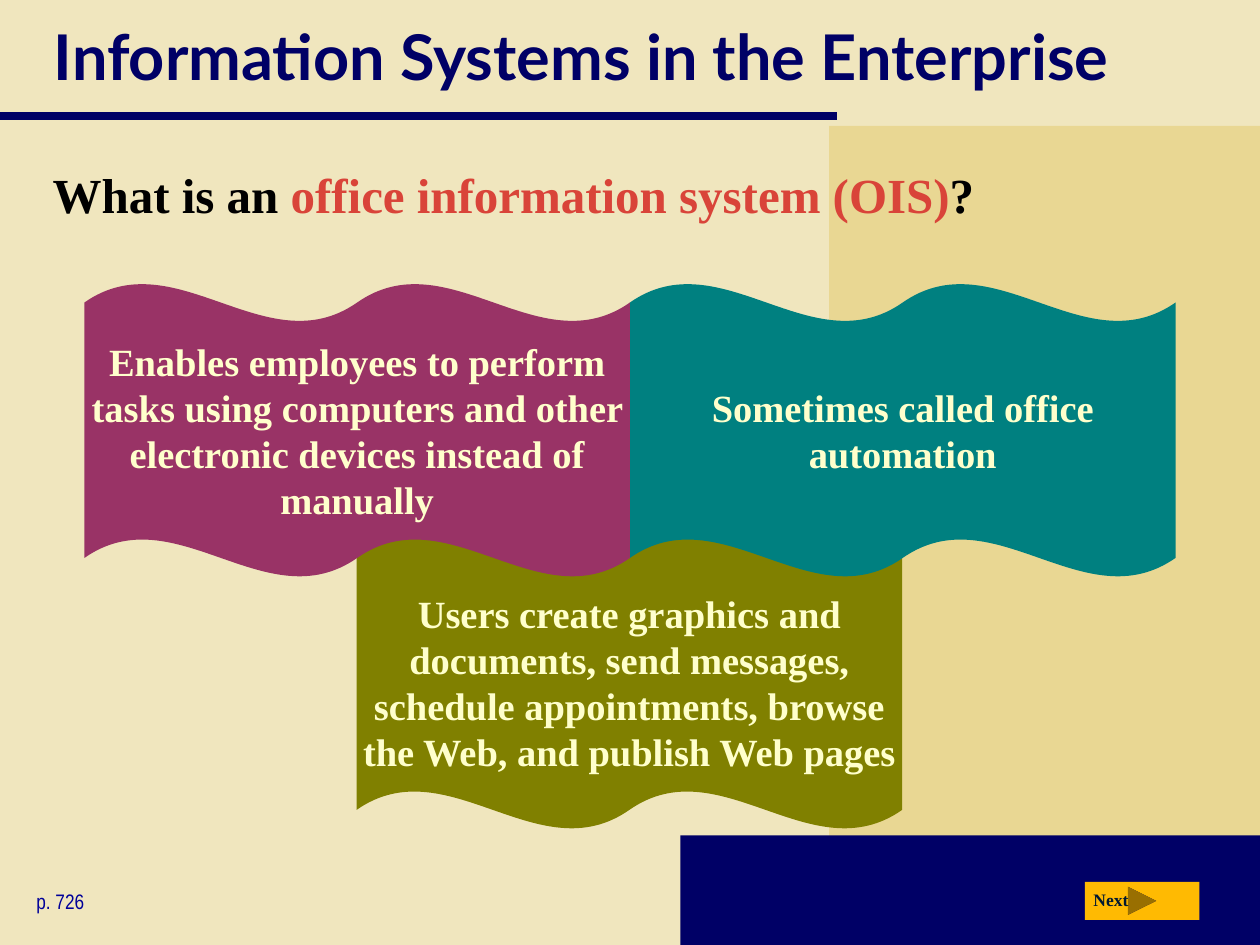
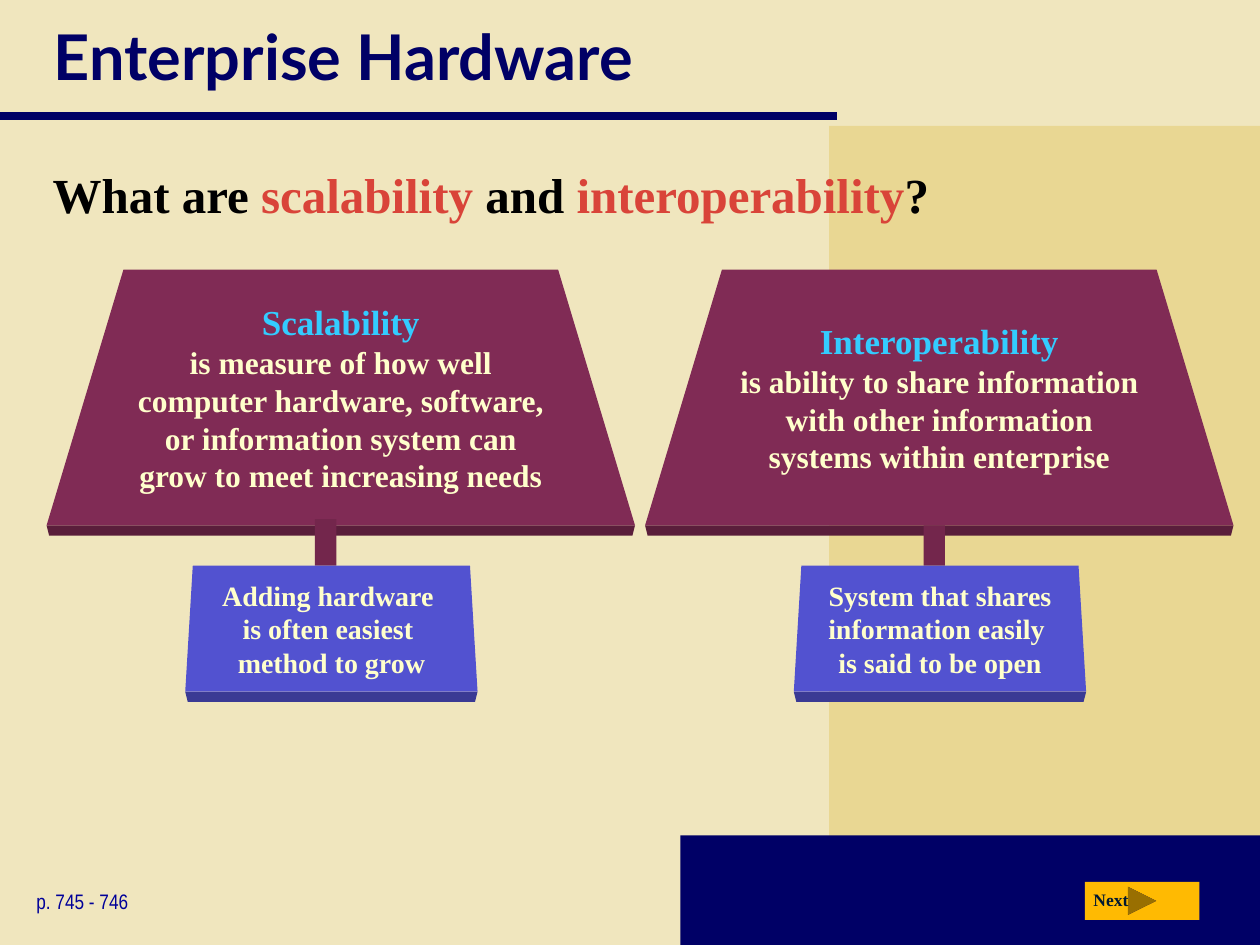
from dataclasses import dataclass

from lxml import etree
from pptx import Presentation
from pptx.dml.color import RGBColor
from pptx.enum.shapes import MSO_CONNECTOR, MSO_SHAPE
from pptx.enum.text import MSO_ANCHOR, PP_ALIGN
from pptx.oxml.ns import qn
from pptx.util import Inches, Pt

RECTANGLE = MSO_SHAPE.RECTANGLE
DOUBLE_WAVE = MSO_SHAPE.DOUBLE_WAVE
FORWARD_BUTTON = MSO_SHAPE.ACTION_BUTTON_FORWARD_OR_NEXT
STRAIGHT = MSO_CONNECTOR.STRAIGHT
TOP, MIDDLE = MSO_ANCHOR.TOP, MSO_ANCHOR.MIDDLE
LEFT, CENTER = PP_ALIGN.LEFT, PP_ALIGN.CENTER


@dataclass(frozen=True)
class Theme:
    cream: str = "F0E6BE"
    sand: str = "E9D793"
    navy: str = "000066"
    black: str = "000000"
    red: str = "D94439"
    page_blue: str = "000099"
    button: str = "FFBA02"
    button_text: str = "001932"
    olive: str = "808000"
    teal: str = "008080"
    plum: str = "993366"
    plum_face: str = "802B55"
    plum_edge: str = "5A1E3B"
    plum_post: str = "73264C"
    blue_face: str = "5252D0"
    blue_edge: str = "3A3A94"
    pale: str = "FFFFCC"
    sky: str = "33CCFF"
    heading_font: str = "Lato"
    body_font: str = "Times New Roman"
    page_font: str = "Arial Narrow"
    title_size: int = 36
    question_size: int = 28
    wave_size: int = 22
    term_size: int = 20
    definition_size: int = 18
    note_size: int = 16
    page_size: int = 12
    button_size: int = 10


THEME = Theme()


def style(size, color, font=THEME.body_font, bold=True):
    return {"size": Pt(size), "name": font, "bold": bold, "color": color}


TITLE = style(THEME.title_size, THEME.navy, THEME.heading_font)
QUESTION = style(THEME.question_size, THEME.black)
HIGHLIGHT = style(THEME.question_size, THEME.red)
PAGE = style(THEME.page_size, THEME.page_blue, THEME.page_font, False)
BUTTON = style(THEME.button_size, THEME.button_text)
WAVE = style(THEME.wave_size, THEME.pale)
TERM = style(THEME.term_size, THEME.sky)
DEFINITION = style(THEME.definition_size, THEME.pale)
NOTE = style(THEME.note_size, THEME.pale)


def write(shape, runs, anchor=MIDDLE, align=CENTER, inset=(0, 0), wrap=True):
    frame = shape.text_frame
    side, end = map(Inches, inset)
    layout = {
        "word_wrap": wrap,
        "vertical_anchor": anchor,
        "margin_left": side,
        "margin_right": side,
        "margin_top": end,
        "margin_bottom": end,
    }
    for name, value in layout.items():
        setattr(frame, name, value)
    paragraph = frame.paragraphs[0]
    paragraph.alignment = align
    for text, look in runs:
        for index, line in enumerate(text.split("\n")):
            if index:
                paragraph.add_line_break()
            if line:
                run = paragraph.add_run()
                run.text = line
                for name, value in look.items():
                    if name == "color":
                        run.font.color.rgb = RGBColor.from_string(value)
                    else:
                        setattr(run.font, name, value)


def paint(shape, color):
    shape.shadow.inherit = False
    shape.fill.solid()
    shape.fill.fore_color.rgb = RGBColor.from_string(color)
    shape.line.fill.background()
    return shape


def add_block(shapes, kind, box, color):
    return paint(shapes.add_shape(kind, *map(Inches, box)), color)


def add_label(shapes, box, runs, anchor=TOP, wrap=True):
    label = shapes.add_textbox(*map(Inches, box))
    write(label, runs, anchor, LEFT, (0.1, 0.05), wrap)


def add_outline(shapes, points, color):
    corners = [(Inches(x), Inches(y)) for x, y in points]
    builder = shapes.build_freeform(*corners[0])
    builder.add_line_segments(corners[1:], close=True)
    return paint(builder.convert_to_shape(), color)


def add_next_button(slide, left, top):
    group = slide.shapes.add_group_shape()
    add_block(group.shapes, FORWARD_BUTTON, (left, top, 0.91, 0.3), THEME.button)
    add_label(group.shapes, (left - 0.03, top + 0.01, 0.51, 0.27),
              [("Next", BUTTON)], wrap=False)


def add_frame(prs, title, question, page):
    slide = prs.slides.add_slide(prs.slide_layouts[6])
    shapes = slide.shapes
    add_block(shapes, RECTANGLE, (6.58, 1, 3.42, 6.5), THEME.sand)
    add_block(shapes, RECTANGLE, (5.4, 6.63, 4.6, 0.87), THEME.navy)
    rule = shapes.add_connector(STRAIGHT, *map(Inches, (0, 0.92, 6.64, 0.92)))
    rule.line.color.rgb = RGBColor.from_string(THEME.navy)
    rule.line.width = Pt(5)
    etree.SubElement(rule._element.spPr, qn("a:effectLst"))
    add_label(shapes, (0.33, 0, 9.39, 0.88), [(title, TITLE)], MIDDLE)
    add_label(shapes, (0.32, 1.26, 9.39, 0.64), question)
    add_label(shapes, (0.19, 7, 1.69, 0.3), [(page, PAGE)])
    add_next_button(slide, 8.61, 7)
    return slide


def add_wave(slide, left, top, text, color):
    wave = add_block(slide.shapes, DOUBLE_WAVE, (left, top, 4.33, 2.33), color)
    wave.adjustments[0] = 0.065
    wave.adjustments[1] = 0
    write(wave, [(text, WAVE)])


def add_slab(slide, box, taper, colors, runs, inset):
    left, top, width, height = box
    right, bottom = left + width, top + height
    face_color, edge_color = colors
    lip, depth = 0.02, 0.08
    add_outline(slide.shapes, [(left, bottom), (right, bottom),
                               (right - lip, bottom + depth),
                               (left + lip, bottom + depth)], edge_color)
    face = add_outline(slide.shapes, [(left + taper, top), (right - taper, top),
                                      (right, bottom), (left, bottom)], face_color)
    write(face, runs, inset=(inset, 0))


def add_sign(slide, left, term, definition, note, post_left, post_top, note_left):
    note_top = 4.49
    add_slab(slide, (left, 2.14, 4.67, 2.03), 0.61,
             (THEME.plum_face, THEME.plum_edge),
             [(term + "\n", TERM), (definition, DEFINITION)], 0.7)
    add_block(slide.shapes, RECTANGLE,
              (post_left, post_top, 0.17, note_top - post_top), THEME.plum_post)
    add_slab(slide, (note_left, note_top, 2.32, 1), 0.06,
             (THEME.blue_face, THEME.blue_edge), [(note, NOTE)], 0)


def build_office_systems(prs):
    question = [("What is an ", QUESTION),
                ("office information system (OIS)", HIGHLIGHT),
                ("?", QUESTION)]
    slide = add_frame(prs, "Information Systems in the Enterprise",
                      question, "p. 726")
    waves = [
        (2.83, 4.25, "Users create graphics and documents, send messages, "
         "schedule appointments, browse the Web, and publish Web pages", THEME.olive),
        (5, 2.25, "Sometimes called office automation", THEME.teal),
        (0.67, 2.25, "Enables employees to perform tasks using computers "
         "and other electronic devices instead of manually", THEME.plum),
    ]
    for wave in waves:
        add_wave(slide, *wave)


def build_hardware(prs):
    question = [("What are ", QUESTION), ("scalability", HIGHLIGHT),
                (" and ", QUESTION), ("interoperability", HIGHLIGHT),
                ("?", QUESTION)]
    slide = add_frame(prs, "Enterprise Hardware", question, "p. 745 - 746")
    signs = [
        (0.37, "Scalability",
         "is measure of how well computer hardware, software, or information "
         "system can grow to meet increasing needs",
         "Adding hardware \nis often easiest \nmethod to grow", 2.5, 4.12, 1.47),
        (5.12, "Interoperability",
         "is ability to share information with other information systems "
         "within enterprise",
         "System that shares information easily \nis said to be open",
         7.33, 4.17, 6.3),
    ]
    for sign in signs:
        add_sign(slide, *sign)


def main():
    prs = Presentation()
    prs.slide_width, prs.slide_height = Inches(10), Inches(7.5)
    background = prs.slide_master.background.fill
    background.solid()
    background.fore_color.rgb = RGBColor.from_string(THEME.cream)
    build_office_systems(prs)
    build_hardware(prs)
    prs.save("out.pptx")


if __name__ == "__main__":
    main()
